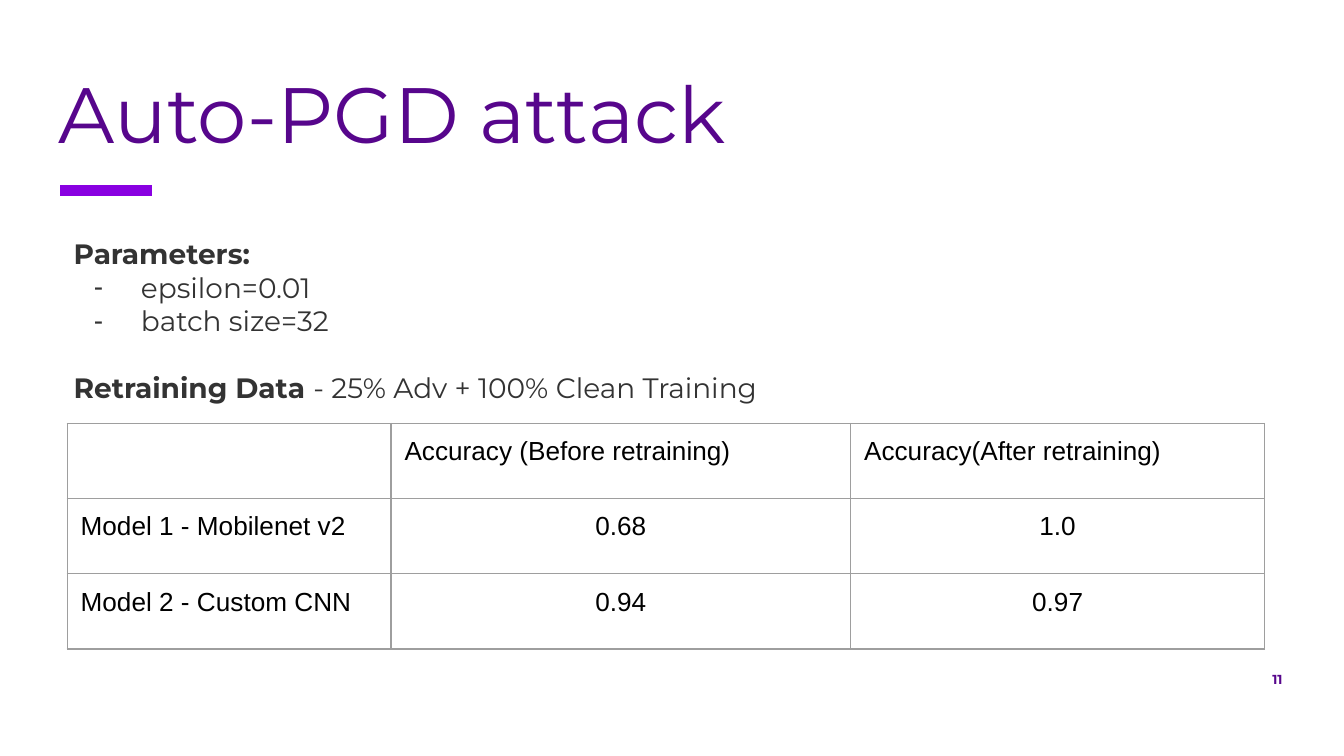
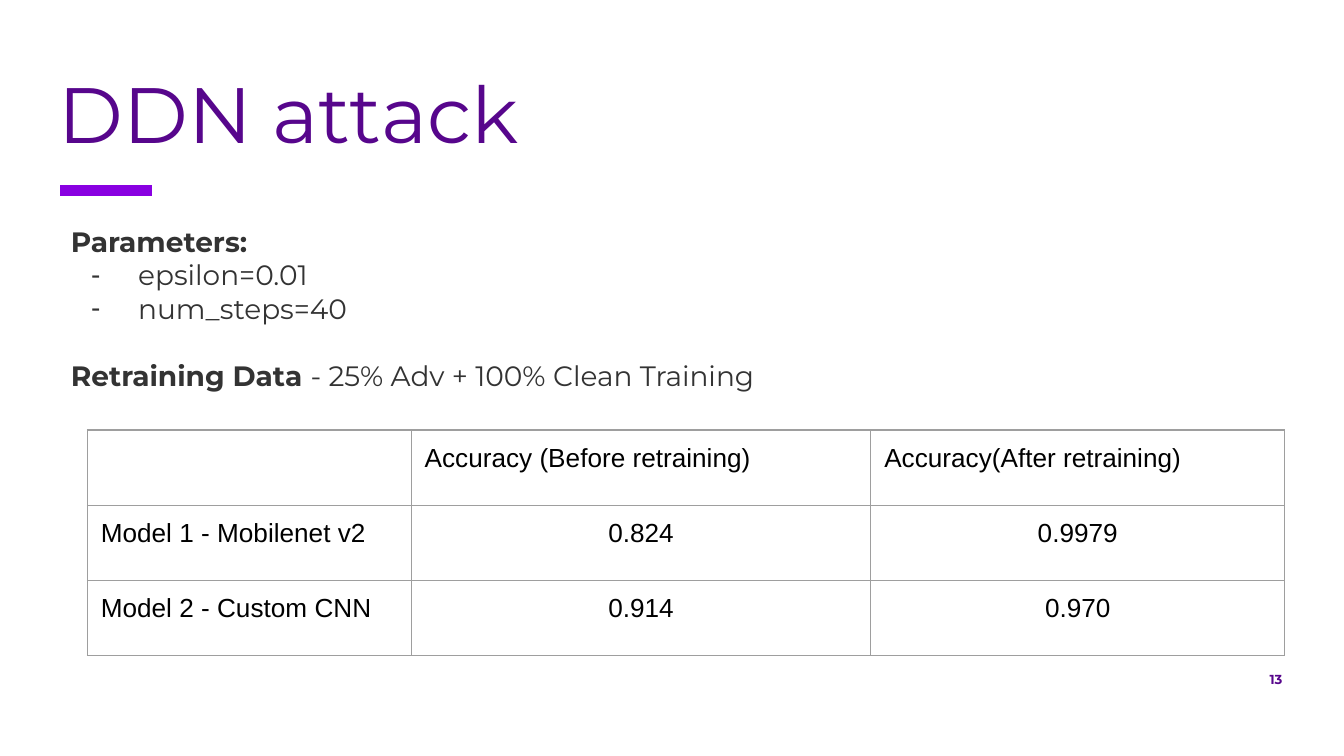
from dataclasses import dataclass

from lxml import etree
from pptx import Presentation
from pptx.dml.color import RGBColor
from pptx.enum.shapes import MSO_CONNECTOR
from pptx.enum.text import MSO_ANCHOR, PP_ALIGN
from pptx.oxml.ns import qn
from pptx.util import Emu, Inches, Pt

LEFT, MID, RIGHT = PP_ALIGN.LEFT, PP_ALIGN.CENTER, PP_ALIGN.RIGHT
TOP = MSO_ANCHOR.TOP
STRAIGHT = MSO_CONNECTOR.STRAIGHT
WIDE, HIGH = Inches(10), Inches(5.625)
PAD = Inches(0.1)
BLANK = 6


@dataclass(frozen=True)
class Theme:
    title: str = "57068C"
    bar: str = "8900E1"
    body: str = "333333"
    cell: str = "000000"
    grid: str = "9E9E9E"
    sans: str = "Montserrat"
    plain: str = "Arial"
    title_pt: float = 42
    body_pt: float = 15
    cell_pt: float = 14
    page_pt: float = 7
    bar_pt: float = 6
    grid_pt: float = 0.75


@dataclass(frozen=True)
class Box:
    """An area in percent of the slide's width and height."""
    x: float
    y: float
    w: float
    h: float

    def emu(self):
        return (Emu(int(WIDE * self.x / 100)), Emu(int(HIGH * self.y / 100)),
                Emu(int(WIDE * self.w / 100)), Emu(int(HIGH * self.h / 100)))


@dataclass(frozen=True)
class Attack:
    name: str
    page: str
    params: tuple
    scores: tuple
    note: Box
    table: Box


T = Theme()
TITLE = Box(3.4, 8.71, 92.1, 22.22)
BAR = Box(4.5, 25.24, 6.8, 0)
PAGE = Box(50.5, 87.82, 45.9, 6.04)
COLS = (2.41, 3.42, 3.08)
HEAD = ("", "Accuracy (Before retraining)", "Accuracy(After retraining)")
MODELS = ("Model 1 - Mobilenet v2", "Model 2 - Custom CNN")
DATA = ("Retraining Data ", "- 25% Adv + 100% Clean Training")

ATTACKS = (
    Attack("Auto-PGD attack", "11", ("epsilon=0.01", "batch size=32"),
           (("0.68", "1.0"), ("0.94", "0.97")),
           Box(4.5, 29.51, 89.5, 24.89), Box(5, 56, 89.1, 29.87)),
    Attack("DDN attack", "13", ("epsilon=0.01", "num_steps=40"),
           (("0.824", "0.9979"), ("0.914", "0.970")),
           Box(4.3, 27.91, 88.4, 29.69), Box(6.5, 56.89, 89.1, 29.87)),
)


def rgb(code):
    return RGBColor.from_string(code)


def dash(para):
    """Give a paragraph a hanging dash."""
    props = para._p.get_or_add_pPr()
    props.set("marL", str(Inches(0.5)))
    props.set("indent", str(-Inches(0.35)))
    tint = etree.SubElement(props, qn("a:buClr"))
    etree.SubElement(tint, qn("a:srgbClr"), val=T.body)
    etree.SubElement(props, qn("a:buFont"), typeface=T.plain)
    etree.SubElement(props, qn("a:buChar"), char="-")


def write(para, text, size=T.body_pt, color=T.body, face=T.sans,
          bold=False, align=LEFT):
    para.alignment = align
    run = para.add_run()
    run.text = text
    font = run.font
    font.size, font.name, font.bold = Pt(size), face, bold
    font.color.rgb = rgb(color)


def frame(slide, box):
    """Add an empty wrapped text box and return its text frame."""
    area = slide.shapes.add_textbox(*box.emu()).text_frame
    area.word_wrap = True
    area.vertical_anchor = TOP
    area.margin_left = area.margin_right = PAD
    area.margin_top = area.margin_bottom = PAD
    return area


def header(slide, title):
    para = frame(slide, TITLE).paragraphs[0]
    para.line_spacing = 0.85
    write(para, title, size=T.title_pt, color=T.title)
    x, y, w, h = BAR.emu()
    bar = slide.shapes.add_connector(STRAIGHT, x, y, x + w, y + h)
    bar.line.color.rgb = rgb(T.bar)
    bar.line.width = Pt(T.bar_pt)
    etree.SubElement(bar._element.spPr, qn("a:effectLst"))


def footer(slide, page):
    write(frame(slide, PAGE).paragraphs[0], page, size=T.page_pt,
          color=T.title, bold=True, align=RIGHT)


def notes(slide, box, params):
    """List the attack's parameters and the retraining data."""
    area = frame(slide, box)
    write(area.paragraphs[0], "Parameters:", bold=True)
    for text in params:
        para = area.add_paragraph()
        dash(para)
        write(para, text)
    para = area.add_paragraph()
    para.space_before = Pt(18)
    label, value = DATA
    write(para, label, bold=True)
    write(para, value)


def edge(cell):
    """Clear the cell's fill and rule all four sides."""
    cell.fill.background()
    props = cell._tc.get_or_add_tcPr()
    for spot, side in enumerate(("lnL", "lnR", "lnT", "lnB")):
        line = etree.Element(qn("a:" + side), w=str(Pt(T.grid_pt)))
        fill = etree.SubElement(line, qn("a:solidFill"))
        etree.SubElement(fill, qn("a:srgbClr"), val=T.grid)
        props.insert(spot, line)


def results(slide, box, scores):
    rows = [HEAD] + [(name, *row) for name, row in zip(MODELS, scores)]
    x, y, w, h = box.emu()
    table = slide.shapes.add_table(len(rows), len(COLS), x, y, w, h).table
    table.first_row = table.horz_banding = False
    for col, share in zip(table.columns, COLS):
        col.width = int(w * share / sum(COLS))
    for r, row in enumerate(rows):
        table.rows[r].height = h // len(rows)
        for c, text in enumerate(row):
            cell = table.cell(r, c)
            cell.margin_left = cell.margin_right = PAD
            cell.margin_top = cell.margin_bottom = PAD
            edge(cell)
            if text:
                write(cell.text_frame.paragraphs[0], text, size=T.cell_pt,
                      color=T.cell, face=T.plain,
                      align=MID if r and c else LEFT)


def report(deck, attack):
    slide = deck.slides.add_slide(deck.slide_layouts[BLANK])
    footer(slide, attack.page)
    header(slide, attack.name)
    results(slide, attack.table, attack.scores)
    notes(slide, attack.note, attack.params)


def main():
    deck = Presentation()
    deck.slide_width, deck.slide_height = WIDE, HIGH
    for attack in ATTACKS:
        report(deck, attack)
    deck.save("out.pptx")


if __name__ == "__main__":
    main()
